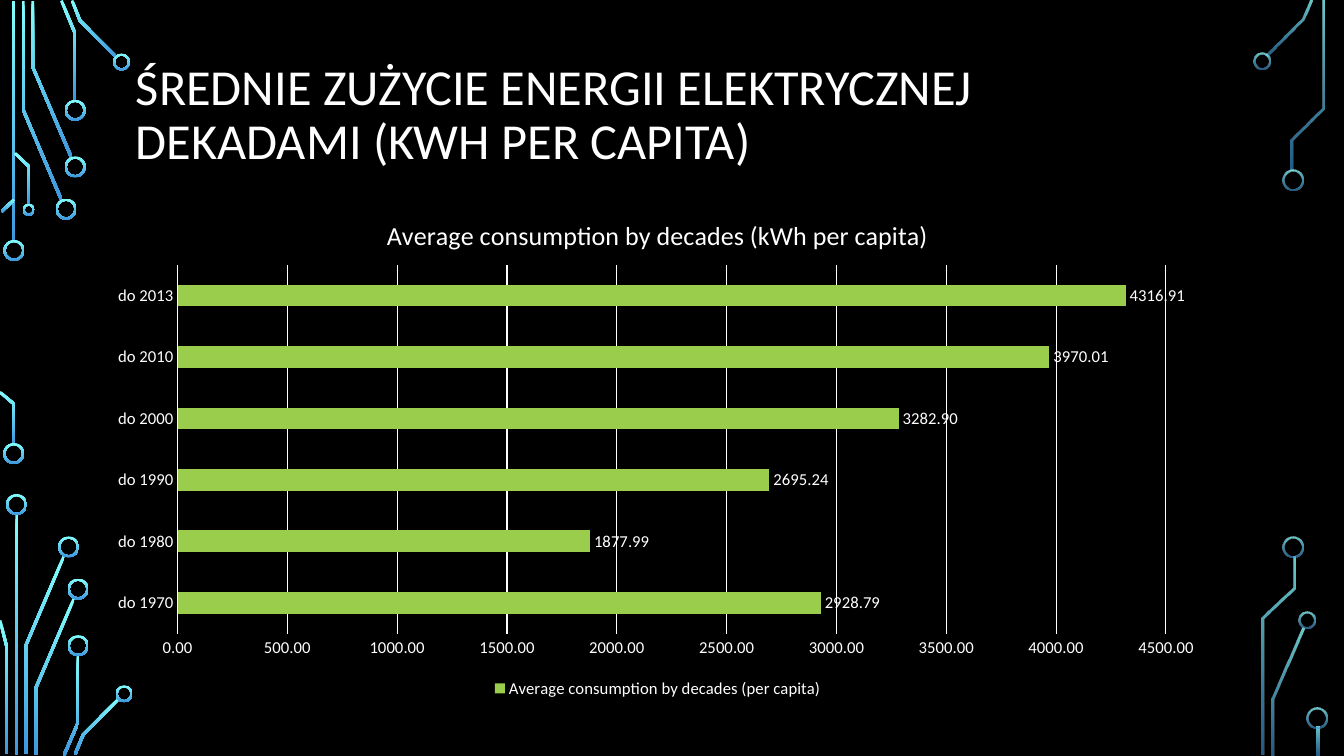
from math import hypot
from lxml import etree
from pptx import Presentation
from pptx.chart import data
from pptx.dml.color import RGBColor
from pptx.enum import chart as ch, shapes, text
from pptx.oxml import ns, parse_xml
from pptx.util import Pt

WHITE = RGBColor(0xFF, 0xFF, 0xFF)
BLACK = RGBColor(0, 0, 0)
GREEN = RGBColor(0x9A, 0xCD, 0x4C)
CYAN = RGBColor(0x82, 0xFF, 0xFF)
BLUE = RGBColor(0x3D, 0x97, 0xDE)

SOLID, FADED = (100, 100), (80, 60)
WIRES = {
    SOLID: [
        [(9.7, 0.7), (9.7, 172.8)],
        [(16.6, 0.7), (16.6, 78.5), (43.9, 142.9)],
        [(23.4, 0.7), (23.4, 47.9), (51.1, 112.7)],
        [(43.9, 0.4), (53.6, 23.8), (53.6, 72)],
        [(51.5, 0.4), (57.2, 14.8), (83.2, 41)],
        [(1.1, 151.2), (10.1, 142.6)],
        [(0, 280.1), (10.1, 288.7), (10.1, 317.5)],
        [(10.8, 109.4), (20.9, 119.2), (20.9, 146.2)],
        [(11.9, 367.2), (11.9, 539.3)],
        [(18.4, 538.6), (18.4, 461.2), (45.7, 397.1)],
        [(0, 443.2), (4.7, 461.5), (4.7, 538.6)],
        [(25.6, 539.3), (25.6, 491.4), (52.9, 427.3)],
        [(45.7, 539.6), (55.8, 516.2), (55.8, 468)],
        [(53.6, 538.9), (59.4, 524.9), (85, 499)],
    ],
    FADED: [
        [(905, 40), (930.6, 14), (936.4, 0.4)],
        [(909, 539.3), (909, 499.3), (931, 448.9)],
        [(945, 0.7), (945, 77.4), (923, 99.7), (923, 121.7)],
        [(924.1, 397.4), (924.1, 420.1), (901.8, 441.7), (901.8, 539.3)],
        [(941.4, 519.1), (941.4, 539.3)],
    ],
}
BIG, MID, TINY = 15, 12.2, 8.7
RINGS = {
    SOLID: [
        (10, 178.9, BIG), (9.8, 324, BIG), (47.2, 149.4, BIG),
        (53.7, 119.2, BIG), (53.7, 78.8, BIG), (86.8, 44.3, MID),
        (20.5, 149.8, TINY), (11.8, 360.4, BIG), (49, 390.7, BIG),
        (55.8, 420.8, BIG), (55.8, 461.2, BIG), (88.7, 495.6, MID),
    ],
    FADED: [
        (901.3, 43.6, MID), (923.3, 128.5, BIG), (933.3, 443.2, MID),
        (923.8, 390.6, BIG), (940.8, 512.6, BIG),
    ],
}
USE = {
    "do 1970": 2928.79, "do 1980": 1877.99, "do 1990": 2695.24,
    "do 2000": 3282.90, "do 2010": 3970.01, "do 2013": 4316.91,
}
PLOT = {"x": 0.072, "y": 0.135, "w": 0.881, "h": 0.729}


def assign(item, **values):
    for name, value in values.items():
        setattr(item, name, value)


def outline(points, half):
    norms = []
    for (ax, ay), (bx, by) in zip(points, points[1:]):
        size = hypot(bx - ax, by - ay)
        norms.append(((ay - by) / size, (bx - ax) / size))
    left, right = [], []
    pairs = zip(norms[:1] + norms, norms + norms[-1:])
    for (x, y), ((px, py), (qx, qy)) in zip(points, pairs):
        scale = half / (1 + px * qx + py * qy)
        dx, dy = (px + qx) * scale, (py + qy) * scale
        left.append((x + dx, y + dy))
        right.append((x - dx, y - dy))
    return left + right[::-1]


class Board:
    face = "Calibri"
    wire_size = 2
    wall = 1.5
    small = 11.9

    def __init__(self, deck):
        self.slide = deck.slides.add_slide(deck.slide_layouts[6])
        fill = self.slide.background.fill
        fill.solid()
        fill.fore_color.rgb = BLACK

    def font(self, font, size):
        assign(font, name=self.face, size=Pt(size), bold=False)
        font.color.rgb = WHITE

    def glow(self, shape, alphas):
        shape.shadow.inherit = False
        shape.line.fill.background()
        shape.fill.gradient()
        shape.fill.gradient_angle = 270
        stops = shape.fill.gradient_stops
        for stop, color, spot in zip(stops, (CYAN, BLUE), (0, 1)):
            stop.color.rgb = color
            stop.position = spot
        for tone, alpha in zip(shape.fill._xPr.iter(ns.qn("a:srgbClr")), alphas):
            if alpha < 100:
                etree.SubElement(tone, ns.qn("a:alpha"), val=str(alpha * 1000))

    def wire(self, points, alphas):
        edge = [(Pt(x), Pt(y)) for x, y in outline(points, self.wire_size / 2)]
        pen = self.slide.shapes.build_freeform(*edge[0], scale=1.0)
        pen.add_line_segments(edge[1:], close=True)
        self.glow(pen.convert_to_shape(), alphas)

    def ring(self, x, y, size, alphas):
        box = [Pt(v) for v in (x - size / 2, y - size / 2, size, size)]
        shape = self.slide.shapes.add_shape(shapes.MSO_SHAPE.DONUT, *box)
        shape.adjustments[0] = self.wall / size
        self.glow(shape, alphas)

    def title(self, words, *box):
        frame = self.slide.shapes.add_textbox(*map(Pt, box)).text_frame
        assign(frame, word_wrap=True, vertical_anchor=text.MSO_ANCHOR.MIDDLE)
        para = frame.paragraphs[0]
        para.line_spacing = 0.9
        run = para.add_run()
        run.text = words
        self.font(run.font, 36)

    def bars(self, head, name, values, *box):
        source = data.CategoryChartData(number_format="0.00")
        source.categories = list(values)
        source.add_series(name, list(values.values()))
        chart = self.slide.shapes.add_chart(
            ch.XL_CHART_TYPE.BAR_CLUSTERED, *map(Pt, box), source).chart
        self.font(chart.font, self.small)
        chart.has_title = True
        frame = chart.chart_title.text_frame
        frame.text = head
        self.font(frame.paragraphs[0].runs[0].font, 18.6)
        chart.chart_title.include_in_layout = False
        chart.has_legend = True
        assign(chart.legend, position=ch.XL_LEGEND_POSITION.BOTTOM,
               include_in_layout=False)
        self.font(chart.legend.font, self.small)
        plot = chart.plots[0]
        assign(plot, gap_width=182, vary_by_categories=False,
               has_data_labels=True)
        assign(plot.data_labels, show_value=True, number_format="0.00",
               number_format_is_linked=False,
               position=ch.XL_LABEL_POSITION.OUTSIDE_END)
        self.font(plot.data_labels.font, self.small)
        fill = plot.series[0].format.fill
        fill.solid()
        fill.fore_color.rgb = GREEN
        cats, vals = chart.category_axis, chart.value_axis
        for axis in (cats, vals):
            assign(axis, major_tick_mark=ch.XL_TICK_MARK.NONE,
                   minor_tick_mark=ch.XL_TICK_MARK.NONE)
            self.font(axis.tick_labels.font, self.small)
        assign(vals, minimum_scale=0, maximum_scale=4500, major_unit=500,
               has_major_gridlines=True)
        assign(vals.tick_labels, number_format="0.00",
               number_format_is_linked=False)
        vals.format.line.fill.background()
        for line in (cats.format.line, vals.major_gridlines.format.line):
            line.color.rgb = WHITE
            line.width = Pt(0.75)
        self.place(chart)

    def place(self, chart):
        area = chart._chartSpace.find(".//" + ns.qn("c:plotArea"))
        for old in area.findall(ns.qn("c:layout")):
            area.remove(old)
        rules = {"layoutTarget": "inner", "xMode": "edge", "yMode": "edge", **PLOT}
        parts = "".join(f'<c:{k} val="{v}"/>' for k, v in rules.items())
        area.insert(0, parse_xml(
            f'<c:layout {ns.nsdecls("c")}><c:manualLayout>{parts}'
            '</c:manualLayout></c:layout>'))


def main():
    deck = Presentation()
    assign(deck, slide_width=Pt(960), slide_height=Pt(540))
    board = Board(deck)
    for alphas, wires in WIRES.items():
        for points in wires:
            board.wire(points, alphas)
        for ring in RINGS[alphas]:
            board.ring(*ring, alphas)
    board.title("ŚREDNIE ZUŻYCIE ENERGII ELEKTRYCZNEJ DEKADAMI (KWH PER CAPITA)",
                90, 24.5, 779.8, 116.6)
    board.bars("Average consumption by decades (kWh per capita)",
               "Average consumption by decades (per capita)", USE,
               69.1, 140.4, 801.4, 361.4)
    deck.save("out.pptx")


if __name__ == "__main__":
    main()
